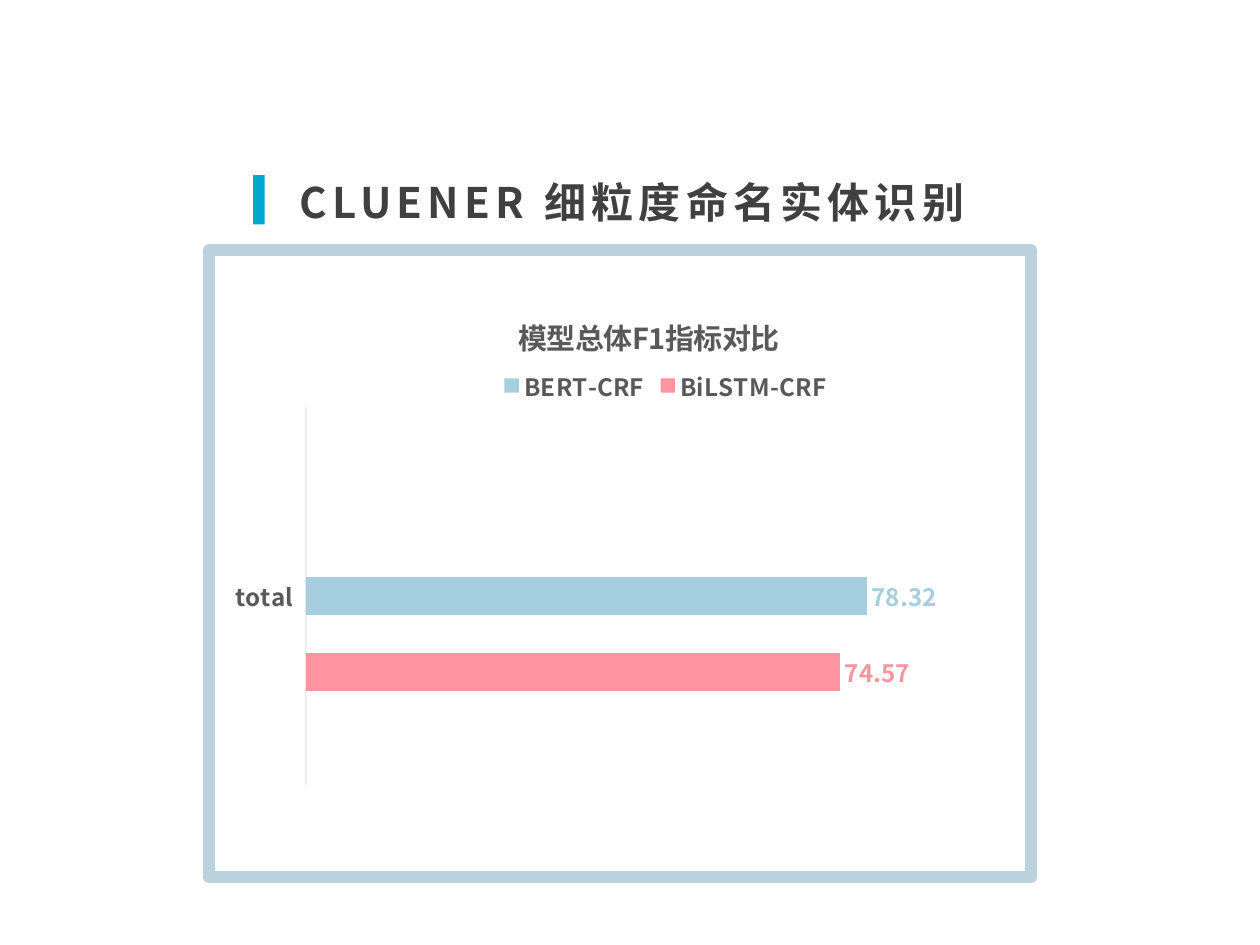
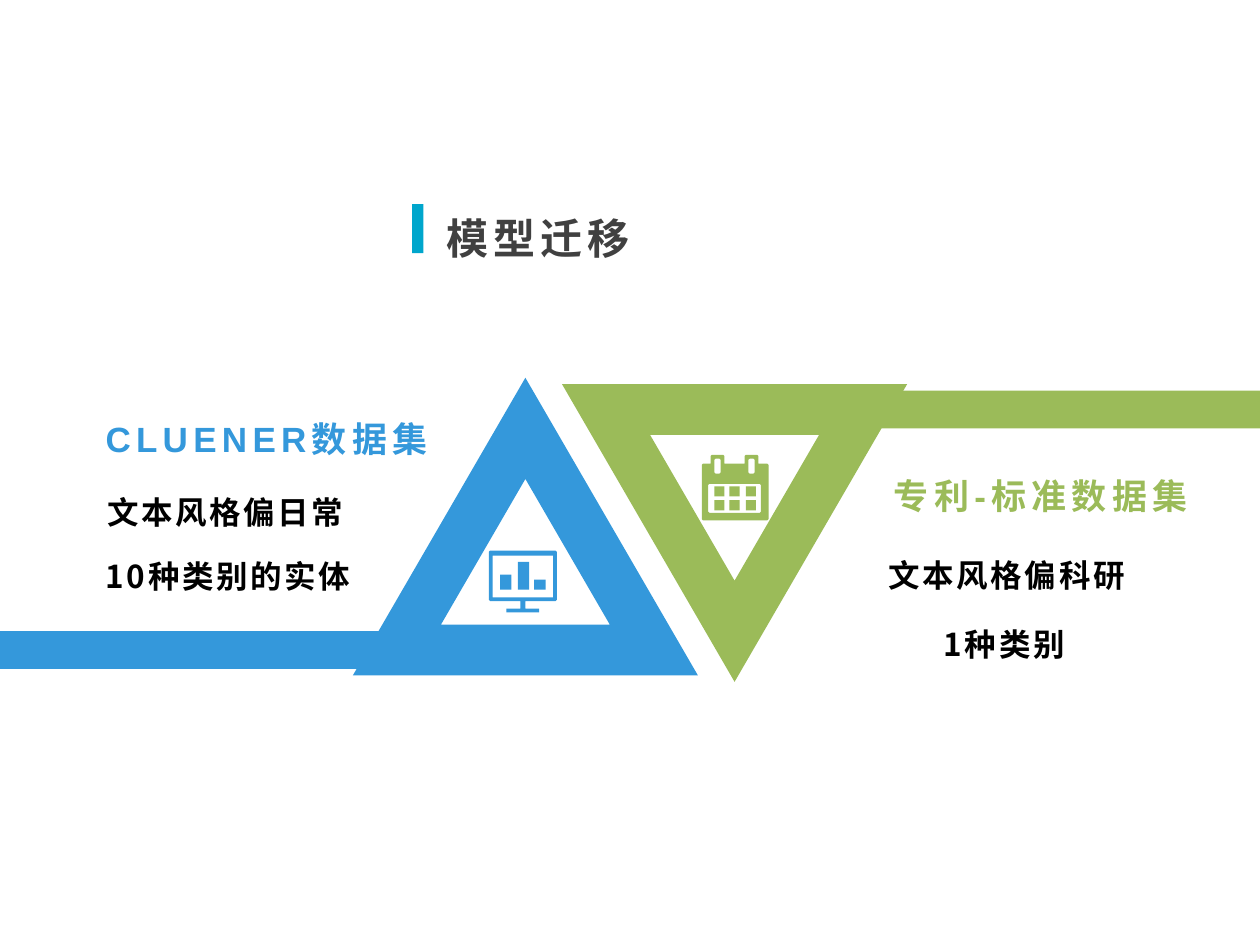
from dataclasses import dataclass

from lxml import etree
from pptx import Presentation
from pptx.chart.data import CategoryChartData as Data
from pptx.dml.color import RGBColor as Rgb
from pptx.enum.chart import (XL_CHART_TYPE as Kind, XL_LABEL_POSITION as Spot,
                             XL_LEGEND_POSITION as Side, XL_TICK_LABEL_POSITION as Tick,
                             XL_TICK_MARK as Mark)
from pptx.enum.shapes import MSO_SHAPE as Form
from pptx.enum.text import MSO_ANCHOR as Anchor, MSO_AUTO_SIZE as Auto, PP_ALIGN as Align
from pptx.oxml.ns import qn
from pptx.util import Inches, Pt

DARK = Rgb(0x40, 0x40, 0x40)
GREY = Rgb(0x59, 0x59, 0x59)
BLACK = Rgb(0, 0, 0)
CYAN = Rgb(0x00, 0xA6, 0xCC)
BLUE = Rgb(0x34, 0x98, 0xDB)
GREEN = Rgb(0x9B, 0xBB, 0x59)
PINK = Rgb(0xFF, 0x94, 0xA1)
SKY = Rgb(0xA5, 0xCE, 0xDE)
PALE = Rgb(0xD4, 0xE3, 0xEA)
NOTO = "Noto Sans CJK SC"
ARIAL = "Arial"

Box = tuple[float, float, float, float]
Dots = list[tuple[float, float]]


@dataclass
class Label:
    text: str
    box: Box
    size: float
    color: Rgb = BLACK
    face: str = NOTO
    gap: float = 1.5
    lead: float = 1.2


@dataclass
class Bar:
    name: str
    value: float
    color: Rgb
    shown: bool = True


@dataclass
class Arm:
    color: Rgb
    strip: Box
    peak: Box
    turn: int


def apply(item, vals: dict) -> None:
    for key, val in vals.items():
        setattr(item, key, val)


def style(font, size: float, color: Rgb, face: str = NOTO) -> None:
    apply(font, {"size": Pt(size), "bold": True, "name": face})
    font.color.rgb = color


def span(box: Box) -> list[int]:
    return [Inches(val) for val in box]


def write(shape, label: Label) -> None:
    left, top, width, height = span(label.box)
    apply(shape, {"left": left, "top": top, "width": width, "height": height})
    frame = shape.text_frame
    apply(frame, {"word_wrap": True, "auto_size": Auto.NONE,
                  "vertical_anchor": Anchor.TOP})
    para = frame.paragraphs[0]
    apply(para, {"alignment": Align.CENTER, "line_spacing": label.lead})
    run = para.add_run()
    run.text = label.text
    style(run.font, label.size, label.color, label.face)
    props = run._r.get_or_add_rPr()
    props.set("spc", str(int(label.gap * 100)))
    etree.SubElement(props, qn("a:ea"), typeface=NOTO)


def paint(shape, color: Rgb) -> None:
    shape.shadow.inherit = False
    shape.fill.solid()
    shape.fill.fore_color.rgb = color
    shape.line.fill.background()


def block(slide, box: Box, color: Rgb) -> None:
    paint(slide.shapes.add_shape(Form.RECTANGLE, *span(box)), color)


def head(slide, label: Label, left: float, top: float) -> None:
    write(slide.shapes.title, label)
    block(slide, (left, top, 0.09, 0.39), CYAN)


def place(node, spot: dict) -> None:
    for old in node.findall(qn("c:layout")):
        node.remove(old)
    layout = etree.Element(qn("c:layout"))
    manual = etree.SubElement(layout, qn("c:manualLayout"))
    for key, val in spot.items():
        etree.SubElement(manual, qn(f"c:{key}"), val=str(val))
    mate = node.find(qn("c:overlay"))
    if mate is None:
        node.insert(0, layout)
    else:
        mate.addprevious(layout)


def frame_chart(root) -> None:
    root.find(qn("c:chart")).addnext(etree.fromstring(
        '<c:spPr xmlns:c="http://schemas.openxmlformats.org/drawingml/2006/chart" '
        'xmlns:a="http://schemas.openxmlformats.org/drawingml/2006/main">'
        '<a:solidFill><a:srgbClr val="FFFFFF"/></a:solidFill>'
        '<a:ln w="88900"><a:solidFill><a:srgbClr val="B9D2DD"/></a:solidFill>'
        '<a:round/></a:ln></c:spPr>'))


def draw_chart(slide, box: Box, bars: list[Bar]) -> None:
    data = Data()
    data.categories = ["total"]
    for bar in bars:
        data.add_series(bar.name, [bar.value])
    chart = slide.shapes.add_chart(Kind.BAR_CLUSTERED, *span(box), data).chart
    style(chart.font, 14, GREY)
    apply(chart, {"has_title": True, "has_legend": True})
    run = chart.chart_title.text_frame.paragraphs[0].add_run()
    run.text = "模型总体F1指标对比"
    style(run.font, 16.8, GREY)
    apply(chart.legend, {"position": Side.TOP, "include_in_layout": False})
    style(chart.legend.font, 14, GREY)

    plot = chart.plots[0]
    apply(plot, {"gap_width": 500, "overlap": -100, "vary_by_categories": False})
    for bar, row in zip(bars, plot.series):
        row.format.fill.solid()
        row.format.fill.fore_color.rgb = bar.color
        if bar.shown:
            tags = row.data_labels
            apply(tags, {"show_value": True, "position": Spot.OUTSIDE_END})
            style(tags.font, 14, bar.color)

    apply(chart.value_axis, {"visible": False, "has_major_gridlines": False,
                             "minimum_scale": 0, "maximum_scale": 90})
    axis = chart.category_axis
    apply(axis, {"tick_label_position": Tick.LOW, "major_tick_mark": Mark.NONE,
                 "minor_tick_mark": Mark.NONE, "has_major_gridlines": False})
    style(axis.tick_labels.font, 14, GREY)
    line = axis.format.line
    line.width = Pt(0.25)
    line.color.rgb = DARK

    root = chart.element
    tint = root.find(f".//{qn('c:catAx')}/{qn('c:spPr')}//{qn('a:srgbClr')}")
    etree.SubElement(tint, qn("a:alpha"), val="33000")
    legend = root.find(f".//{qn('c:legend')}")
    entry = etree.Element(qn("c:legendEntry"))
    etree.SubElement(entry, qn("c:idx"), val="0")
    etree.SubElement(entry, qn("c:delete"), val="1")
    legend.find(qn("c:overlay")).addprevious(entry)
    edge = {"xMode": "edge", "yMode": "edge"}
    place(legend, edge | {"x": 0.35, "y": 0.18})
    place(root.find(f"{qn('c:chart')}/{qn('c:title')}"), edge | {"x": 0.37, "y": 0.09})
    place(root.find(f".//{qn('c:plotArea')}"),
          {"layoutTarget": "inner"} | edge
          | {"x": 0.118, "y": 0.249, "w": 0.784, "h": 0.605})
    frame_chart(root)


def draw_arm(slide, arm: Arm) -> None:
    block(slide, arm.strip, arm.color)
    peak = slide.shapes.add_shape(Form.ISOSCELES_TRIANGLE, *span(arm.peak))
    peak.shadow.inherit = False
    peak.fill.background()
    peak.rotation = arm.turn
    peak.line.color.rgb = arm.color
    peak.line.width = Pt(29)
    etree.SubElement(peak.line._get_or_add_ln(), qn("a:miter"), lim="800000")


def rect(left: float, top: float, right: float, base: float) -> Dots:
    return [(left, top), (right, top), (right, base), (left, base)]


def soft(left: float, top: float, right: float, base: float) -> Dots:
    cut = 0.01
    return [(left + cut, top), (right - cut, top), (right, top + cut),
            (right, base - cut), (right - cut, base), (left + cut, base),
            (left, base - cut), (left, top + cut)]


def draw_icon(slide, loops: list[Dots], color: Rgb) -> None:
    pen = None
    for loop in loops:
        dots = [(Inches(x), Inches(y)) for x, y in loop]
        if pen is None:
            pen = slide.shapes.build_freeform(*dots[0])
        else:
            pen.move_to(*dots[0])
        pen.add_line_segments(dots[1:], close=True)
    paint(pen.convert_to_shape(), color)


def screen() -> list[Dots]:
    bars = [rect(x, y, x + 0.09, 4.68)
            for x, y in ((3.97, 4.56), (4.11, 4.46), (4.24, 4.6))]
    case = soft(3.88, 4.37, 4.42, 4.77)
    stand = [(4.17, 4.77), (4.17, 4.83), (4.28, 4.83), (4.28, 4.86),
             (4.02, 4.86), (4.02, 4.83), (4.13, 4.83), (4.13, 4.77)]
    return [case[:5] + stand + case[5:], rect(3.91, 4.41, 4.39, 4.74), *bars]


def diary() -> list[Dots]:
    days = [rect(x, y, x + 0.08, y + 0.08)
            for y in (3.86, 3.97) for x in (5.67, 5.79, 5.92)]
    slots = [soft(x, 3.64, x + 0.05, 3.76) for x in (5.67, 5.94)]
    rings = []
    for x in (5.64, 5.91):
        rings += [(x, 3.68), (x, 3.62), (x + 0.01, 3.61), (x + 0.1, 3.61),
                  (x + 0.11, 3.62), (x + 0.11, 3.68)]
    case = soft(5.57, 3.68, 6.1, 4.13)
    return [case[:1] + rings + case[1:], soft(5.62, 3.84, 6.04, 4.07), *slots, *days]


def score_slide(deck) -> None:
    slide = deck.slides.add_slide(deck.slide_layouts[5])
    head(slide, Label("CLUENER 细粒度命名实体识别", (1.33, 1.32, 7.37, 0.48),
                      24, DARK, gap=3, lead=1.0), 2.01, 1.39)
    apply(slide.shapes.title.text_frame,
          {"vertical_anchor": Anchor.BOTTOM, "margin_bottom": 0})
    draw_chart(slide, (1.61, 1.94, 6.62, 5.07), [
        Bar("BiLSTM-CRF", 74.57, PINK),
        Bar("BERT-CRF", 78.32, SKY),
        Bar("", 0, PALE, False)])


def move_slide(deck) -> None:
    slide = deck.slides.add_slide(deck.slide_layouts[5])
    for arm in (Arm(GREEN, (6.92, 3.1, 3.08, 0.3), (4.81, 3.25, 2.04, 1.76), 180),
                Arm(BLUE, (0, 5.01, 4.58, 0.3), (3.15, 3.4, 2.04, 1.76), 0)):
        draw_arm(slide, arm)
    draw_icon(slide, screen(), BLUE)
    draw_icon(slide, diary(), GREEN)
    head(slide, Label("模型迁移", (2.72, 1.56, 3.1, 0.52), 24, DARK, ARIAL, 3),
         3.27, 1.62)
    for label in (
            Label("CLUENER数据集", (0.69, 3.2, 2.85, 0.4), 20, BLUE, ARIAL, 3),
            Label("文本风格偏日常", (0.67, 3.8, 2.24, 0.48), 18),
            Label("10种类别的实体", (0.69, 4.31, 2.24, 0.56), 18),
            Label("专利-标准数据集", (6.87, 3.65, 2.78, 0.4), 20, GREEN, ARIAL, 3),
            Label("文本风格偏科研", (6.87, 4.3, 2.24, 0.48), 18, face=ARIAL),
            Label("1种类别", (6.85, 4.85, 2.24, 0.46), 18)):
        write(slide.shapes.add_textbox(*span(label.box)), label)


def main() -> None:
    deck = Presentation()
    apply(deck, {"slide_width": Inches(10), "slide_height": Inches(7.5)})
    score_slide(deck)
    move_slide(deck)
    deck.save("out.pptx")


if __name__ == "__main__":
    main()
